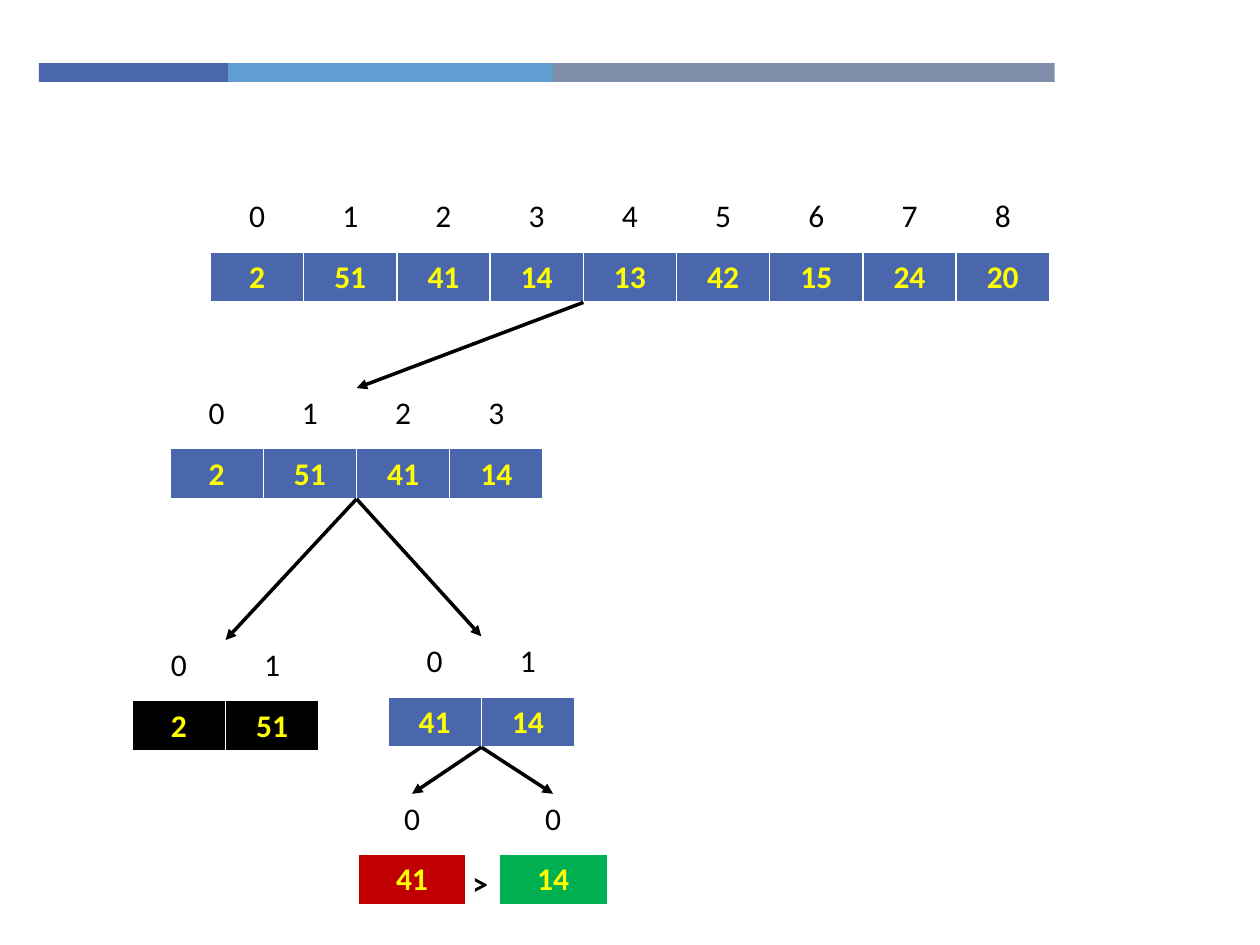
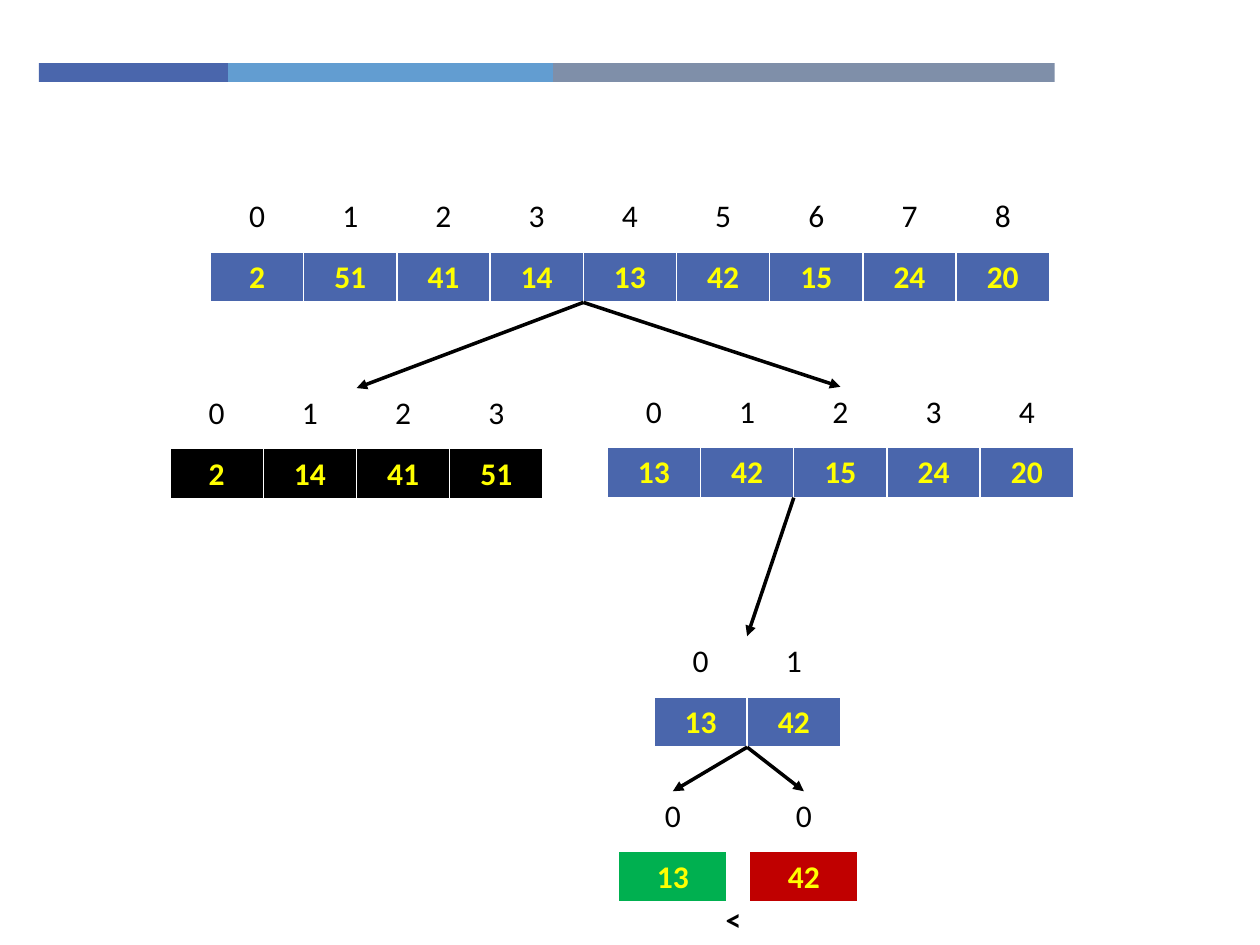
"""Build two slides that trace merge sort as trees of array segments."""
from collections import namedtuple

from lxml.etree import SubElement
from pptx import Presentation
from pptx.dml.color import RGBColor
from pptx.enum.shapes import MSO_CONNECTOR, MSO_SHAPE
from pptx.enum.text import MSO_ANCHOR, MSO_AUTO_SIZE, PP_ALIGN
from pptx.oxml import parse_xml
from pptx.oxml.ns import nsdecls, qn
from pptx.util import Inches, Pt

FONT = "Calibri"
BLUE, LIGHT_BLUE, GREY = "4A66AC", "629DD1", "7F8FA9"
BLACK, YELLOW, WHITE = "000000", "FFFF00", "FFFFFF"
LARGER, SMALLER, SORTED, UNSORTED = "C00000", "00B050", BLACK, BLUE

BANDS = [(1.5, BLUE), (2.58, LIGHT_BLUE), (3.98, GREY)]
BORDERS = [("lnL", 1), ("lnR", 1), ("lnT", 1), ("lnB", 3)]
CELL_WIDTH, LEAF_WIDTH = 0.74, 0.86
VALUE_HEIGHT, INDEX_HEIGHT = 0.41, 0.4
INDEX_RISE = 0.48
ROOT_VALUES = [2, 51, 41, 14, 13, 42, 15, 24, 20]

Segment = namedtuple("Segment", "head split")


def color(code):
    """Return the RGB colour for a hex string."""
    return RGBColor.from_string(code)


def write(paragraph, text, ink, bold):
    """Add one formatted run to a paragraph."""
    run = paragraph.add_run()
    run.text = text
    run.font.name = FONT
    run.font.size = Pt(18)
    run.font.bold = bold
    run.font.color.rgb = color(ink)


def add_bands(slide, layout):
    """Place the three-part colour band on the shared layout."""
    left = 0.31
    for width, fill in BANDS:
        band = slide.shapes.add_shape(
            MSO_SHAPE.RECTANGLE, Inches(left), Inches(0.5), Inches(width), Inches(0.15))
        band.shadow.inherit = False
        band.fill.solid()
        band.fill.fore_color.rgb = color(fill)
        band.line.fill.background()
        layout.element.cSld.spTree.append(band.element)
        left += width


def add_borders(cell):
    """Give a cell white borders with a heavier bottom edge."""
    properties = cell._tc.get_or_add_tcPr()
    for position, (side, points) in enumerate(BORDERS):
        properties.insert(position, parse_xml(
            f'<a:{side} {nsdecls("a")} w="{Pt(points)}"><a:solidFill>'
            f'<a:srgbClr val="{WHITE}"/></a:solidFill></a:{side}>'))


def add_row(slide, left, top, cell_width, height, entries, ink, fill=None):
    """Add a one-row table, filled and bordered when a fill is given."""
    row = slide.shapes.add_table(
        1, len(entries), Inches(left), Inches(top),
        Inches(cell_width * len(entries)), Inches(height)).table
    row.first_row = row.horz_banding = False
    for cell, entry in zip(row.iter_cells(), entries):
        cell.vertical_anchor = MSO_ANCHOR.MIDDLE
        paragraph = cell.text_frame.paragraphs[0]
        paragraph.alignment = PP_ALIGN.CENTER
        write(paragraph, str(entry), ink, bold=fill is not None)
        if fill:
            cell.fill.solid()
            cell.fill.fore_color.rgb = color(fill)
            add_borders(cell)
        else:
            cell.fill.background()


def add_segment(slide, left, top, values, fill, cell_width=CELL_WIDTH):
    """Add values with indices above, and return where arrows meet them."""
    count = len(values)
    center = left + cell_width * count / 2
    index_top = top - INDEX_RISE
    add_row(slide, left, top, cell_width, VALUE_HEIGHT, values, YELLOW, fill)
    add_row(slide, center - CELL_WIDTH * count / 2, index_top, CELL_WIDTH,
            INDEX_HEIGHT, range(count), BLACK)
    return Segment(head=(center, index_top),
                   split=(left + cell_width * (count // 2), top + INDEX_HEIGHT))


def add_arrow(slide, parent, child):
    """Draw an arrow from a parent's split point to a child segment."""
    arrow = slide.shapes.add_connector(
        MSO_CONNECTOR.STRAIGHT, *map(Inches, parent.split + child.head))
    arrow.line.color.rgb = color(BLACK)
    arrow.line.width = Pt(2)
    SubElement(arrow.line._get_or_add_ln(), qn("a:tailEnd"), type="triangle")
    SubElement(arrow.element.spPr, qn("a:effectLst"))


def add_child(slide, parent, *segment):
    """Add a segment joined to its parent by an arrow."""
    child = add_segment(slide, *segment)
    add_arrow(slide, parent, child)
    return child


def add_comparison(slide, left, top, sign):
    """Add the comparison sign between two single values."""
    frame = slide.shapes.add_textbox(
        Inches(left), Inches(top), Inches(0.29), Inches(0.4)).text_frame
    frame.word_wrap = False
    frame.auto_size = MSO_AUTO_SIZE.SHAPE_TO_FIT_TEXT
    write(frame.paragraphs[0], sign, BLACK, bold=True)


def build_left_half(slide):
    """Show the left half being split down to 41 and 14."""
    root = add_segment(slide, 1.67, 2, ROOT_VALUES, UNSORTED)
    left_half = add_child(slide, root, 1.35, 3.56, ROOT_VALUES[:4], UNSORTED)
    add_child(slide, left_half, 1.05, 5.56, [2, 51], SORTED)
    pair = add_child(slide, left_half, 3.08, 5.53, [41, 14], UNSORTED)
    add_child(slide, pair, 2.84, 6.78, [41], LARGER, LEAF_WIDTH)
    add_child(slide, pair, 3.96, 6.78, [14], SMALLER, LEAF_WIDTH)
    add_comparison(slide, 3.65, 6.81, ">")


def build_right_half(slide):
    """Show the sorted left half and the right half split to 13 and 42."""
    root = add_segment(slide, 1.67, 2, ROOT_VALUES, UNSORTED)
    add_child(slide, root, 1.35, 3.56, sorted(ROOT_VALUES[:4]), SORTED)
    right_half = add_child(slide, root, 4.82, 3.55, ROOT_VALUES[4:], UNSORTED)
    pair = add_child(slide, right_half, 5.19, 5.53, [13, 42], UNSORTED)
    add_child(slide, pair, 4.91, 6.76, [13], SMALLER, LEAF_WIDTH)
    add_child(slide, pair, 5.95, 6.76, [42], LARGER, LEAF_WIDTH)
    add_comparison(slide, 5.66, 7.09, "<")


def main():
    """Build and save the presentation."""
    deck = Presentation()
    deck.slide_width, deck.slide_height = Inches(10), Inches(7.5)
    layout = deck.slide_layouts[6]
    left_slide, right_slide = (deck.slides.add_slide(layout) for _ in range(2))
    add_bands(left_slide, layout)
    build_left_half(left_slide)
    build_right_half(right_slide)
    deck.save("out.pptx")


if __name__ == "__main__":
    main()
